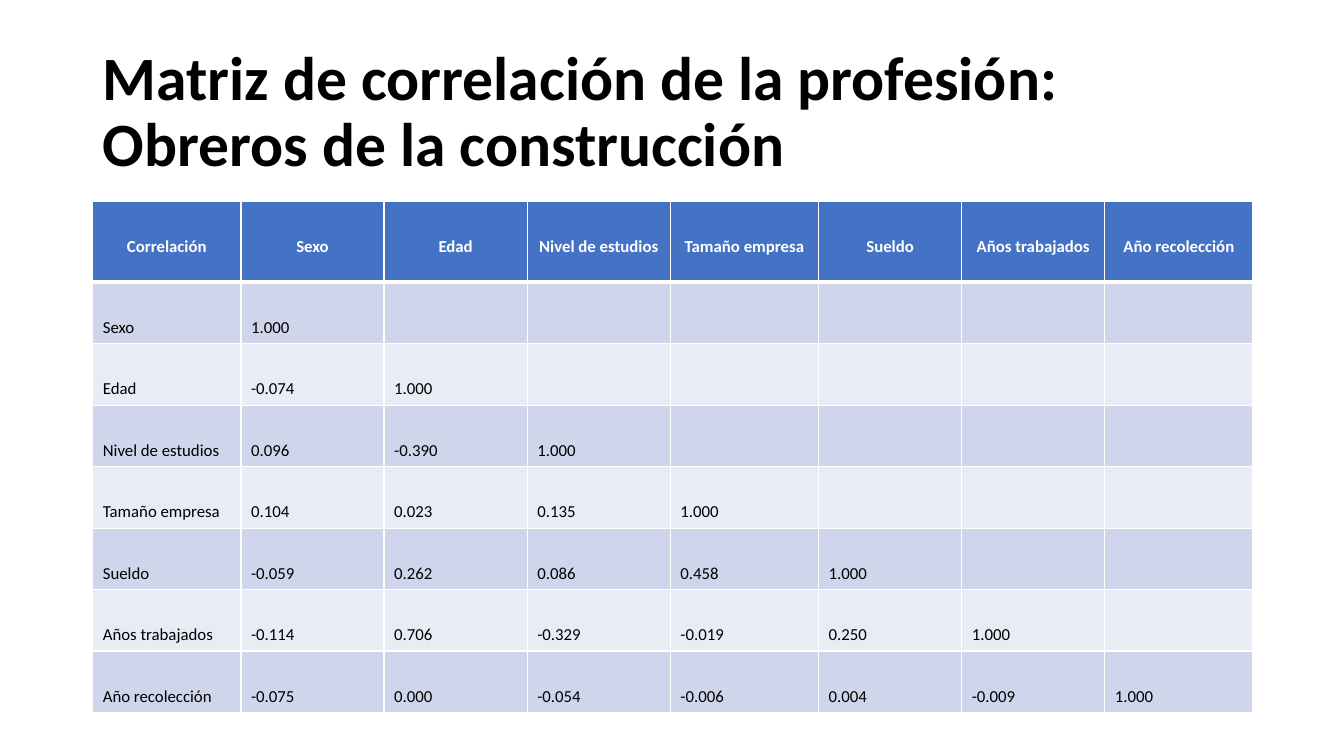
from lxml import etree
from pptx import Presentation
from pptx.dml.color import RGBColor
from pptx.enum.text import MSO_ANCHOR, PP_ALIGN
from pptx.oxml.ns import qn
from pptx.util import Inches, Pt

LEFT, CENTER = PP_ALIGN.LEFT, PP_ALIGN.CENTER
TOP, MIDDLE = MSO_ANCHOR.TOP, MSO_ANCHOR.MIDDLE
TITLE_ONLY = 5

TITLE = "Matriz de correlación de la profesión: Obreros de la construcción"
VARIABLES = ["Sexo", "Edad", "Nivel de estudios", "Tamaño empresa", "Sueldo",
             "Años trabajados", "Año recolección"]
CORRELATIONS = [
    ["1.000"],
    ["-0.074", "1.000"],
    ["0.096", "-0.390", "1.000"],
    ["0.104", "0.023", "0.135", "1.000"],
    ["-0.059", "0.262", "0.086", "0.458", "1.000"],
    ["-0.114", "0.706", "-0.329", "-0.019", "0.250", "1.000"],
    ["-0.075", "0.000", "-0.054", "-0.006", "0.004", "-0.009", "1.000"],
]
THEME = {"font": "Calibri", "title_size": 44, "cell_size": 12,
         "black": "000000", "white": "FFFFFF", "header": "4472C4",
         "bands": ["CFD5EA", "E9EBF5"], "thin": 1, "thick": 3}

COLUMN_WIDTHS = [1.47, 1.42, 1.42, 1.42, 1.47, 1.42, 1.42, 1.47]
HEADER_HEIGHT, ROW_HEIGHT = 0.8, 0.61
TEXT_DROP = 0.35


def write(frame, text, size=THEME["cell_size"], color=THEME["black"], bold=False,
          align=LEFT, line_spacing=1.0):
    para = frame.paragraphs[0]
    para.alignment = align
    para.line_spacing = line_spacing
    span = para.add_run()
    span.text = text
    span.font.name = THEME["font"]
    span.font.size = Pt(size)
    span.font.bold = bold
    span.font.color.rgb = RGBColor.from_string(color)


def set_borders(cell, top, bottom):
    properties = cell._tc.get_or_add_tcPr()
    widths = {"a:lnL": THEME["thin"], "a:lnR": THEME["thin"], "a:lnT": top, "a:lnB": bottom}
    for tag, width in widths.items():
        line = etree.SubElement(properties, qn(tag), w=str(Pt(width)))
        fill = etree.SubElement(line, qn("a:solidFill"))
        etree.SubElement(fill, qn("a:srgbClr"), val=THEME["white"])


def add_title(page):
    title = page.shapes.title
    title.left, title.top = Inches(0.92), Inches(0.4)
    title.width, title.height = Inches(11.5), Inches(1.45)
    title.text_frame.word_wrap = True
    title.text_frame.vertical_anchor = MIDDLE
    write(title.text_frame, TITLE, size=THEME["title_size"], bold=True, line_spacing=0.9)


def add_matrix(page):
    rows = [["Correlación"] + VARIABLES]
    rows += [[name] + values for name, values in zip(VARIABLES, CORRELATIONS)]
    heights = [HEADER_HEIGHT] + [ROW_HEIGHT] * len(VARIABLES)
    matrix = page.shapes.add_table(
        len(rows), len(COLUMN_WIDTHS), Inches(0.92), Inches(2),
        Inches(sum(COLUMN_WIDTHS)), Inches(sum(heights))).table
    for column, width in zip(matrix.columns, COLUMN_WIDTHS):
        column.width = Inches(width)
    for row_index, (row, height) in enumerate(zip(rows, heights)):
        matrix.rows[row_index].height = Inches(height)
        is_header = row_index == 0
        background = THEME["header"] if is_header else THEME["bands"][(row_index - 1) % 2]
        for column_index in range(len(COLUMN_WIDTHS)):
            cell = matrix.cell(row_index, column_index)
            set_borders(cell, top=THEME["thick"] if row_index == 1 else THEME["thin"],
                        bottom=THEME["thick"] if is_header else THEME["thin"])
            cell.fill.solid()
            cell.fill.fore_color.rgb = RGBColor.from_string(background)
            cell.vertical_anchor = TOP
            if column_index < len(row):
                cell.margin_top = Inches(TEXT_DROP)
                write(cell.text_frame, row[column_index], bold=is_header,
                      color=THEME["white"] if is_header else THEME["black"],
                      align=CENTER if is_header else LEFT)


def main():
    deck = Presentation()
    deck.slide_width, deck.slide_height = Inches(13.33), Inches(7.5)
    page = deck.slides.add_slide(deck.slide_layouts[TITLE_ONLY])
    add_title(page)
    add_matrix(page)
    deck.save("out.pptx")


if __name__ == "__main__":
    main()
